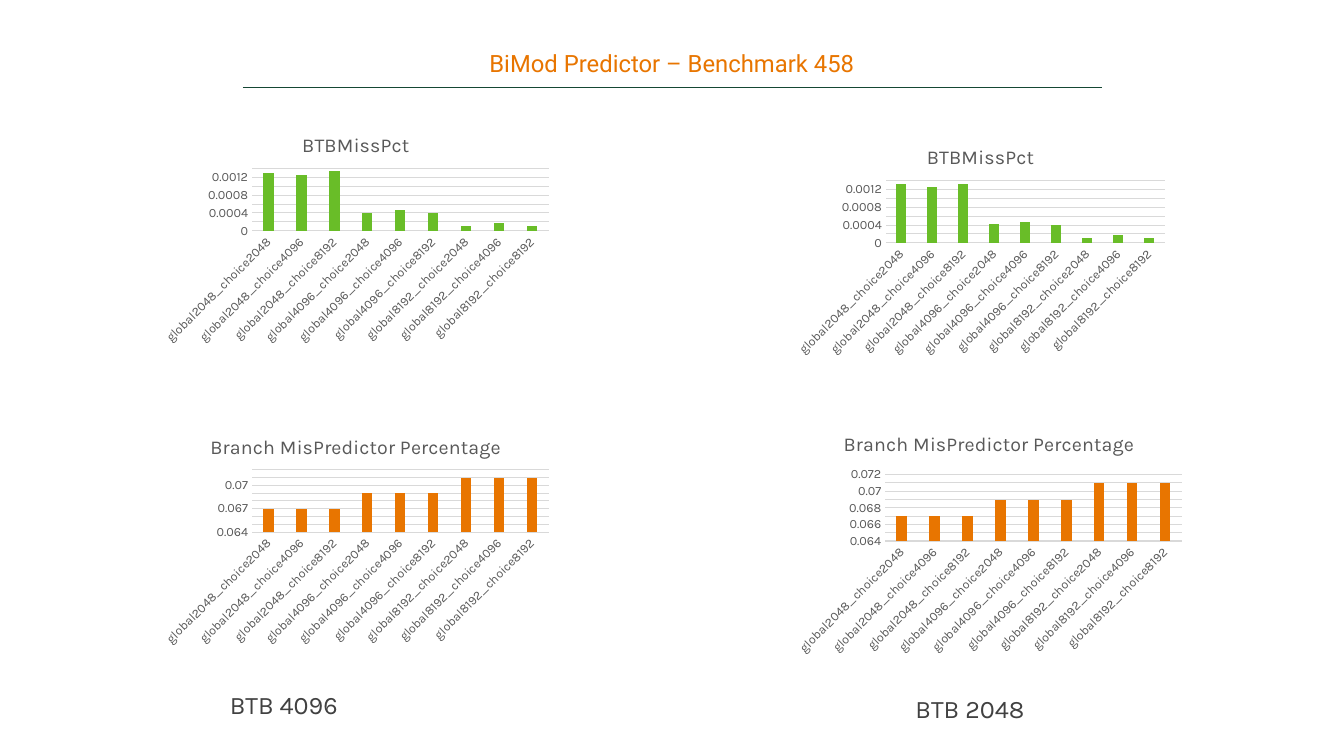
from itertools import product

from lxml.etree import SubElement
from pptx import Presentation
from pptx.chart.data import CategoryChartData
from pptx.dml.color import RGBColor
from pptx.enum.chart import XL_CHART_TYPE, XL_TICK_LABEL_POSITION, XL_TICK_MARK
from pptx.enum.shapes import MSO_CONNECTOR
from pptx.enum.text import MSO_AUTO_SIZE, PP_ALIGN
from pptx.oxml.ns import qn
from pptx.util import Pt

PX = 9144
ORANGE = RGBColor(0xE8, 0x75, 0x00)
LIME = RGBColor(0x69, 0xBD, 0x28)
PINE = RGBColor(0x15, 0x47, 0x34)
BLACK = RGBColor(0x00, 0x00, 0x00)
CHARCOAL = RGBColor(0x41, 0x41, 0x41)
GRAY = RGBColor(0x59, 0x59, 0x59)
PALE = RGBColor(0xD9, 0xD9, 0xD9)

SIZES = (2048, 4096, 8192)
CATEGORIES = [f"global{first}_choice{second}" for first, second in product(SIZES, SIZES)]
MISS_4096 = (0.0013, 0.00126, 0.00133, 0.00039, 0.00046, 0.00039, 0.00011, 0.00017, 0.00011)
MISS_2048 = (0.00133, 0.00126, 0.00133, 0.00042, 0.00046, 0.00039, 0.00011, 0.00017, 0.00011)
MISPREDICTED = [value for value in (0.067, 0.069, 0.071) for _ in SIZES]


def to_emu(box):
    """Turn a box in px into EMU lengths."""
    return [length * PX for length in box]


def set_font(font, size, color, name="Karla"):
    """Set the size, colour and typeface of a font."""
    font.size, font.name, font.bold = Pt(size), name, False
    font.color.rgb = color


def add_text(page, box, text, *, size, color, name="Karla", align=PP_ALIGN.LEFT,
             spacing=1.2, fit=MSO_AUTO_SIZE.SHAPE_TO_FIT_TEXT):
    """Place one line of text in a box without margins."""
    frame = page.shapes.add_textbox(*to_emu(box)).text_frame
    frame.margin_left = frame.margin_top = frame.margin_right = frame.margin_bottom = 0
    frame.word_wrap = True
    frame.auto_size = fit
    para = frame.paragraphs[0]
    para.alignment, para.line_spacing = align, spacing
    span = para.add_run()
    span.text = text
    set_font(span.font, size, color, name)


def add_heading(page, box, text):
    """Place the slide heading and the rule that crosses it."""
    left, top, width, height = box
    start, end, level = to_emu((left + 141, left + width - 140, top + 34))
    rule = page.shapes.add_connector(MSO_CONNECTOR.STRAIGHT, start, level, end, level)
    rule.line.color.rgb, rule.line.width = PINE, Pt(0.75)
    SubElement(rule._element.spPr, qn("a:effectLst"))
    add_text(page, box, text, size=17, color=ORANGE, name="Roboto",
             align=PP_ALIGN.CENTER, spacing=0.85, fit=MSO_AUTO_SIZE.NONE)


def add_column_chart(page, box, title, series_name, values, color, scale):
    """Place a column chart whose scale is its minimum, maximum and step."""
    data = CategoryChartData()
    data.categories = CATEGORIES
    data.add_series(series_name, values)
    chart = page.shapes.add_chart(XL_CHART_TYPE.COLUMN_CLUSTERED, *to_emu(box), data).chart
    chart.has_legend = False
    set_font(chart.font, 10, BLACK)

    chart.has_title = True
    chart.chart_title.include_in_layout = False
    span = chart.chart_title.text_frame.paragraphs[0].add_run()
    span.text = title
    set_font(span.font, 14, GRAY)

    plot = chart.plots[0]
    plot.gap_width, plot.overlap, plot.vary_by_categories = 219, -27, False
    fill = plot.series[0].format.fill
    fill.solid()
    fill.fore_color.rgb = color

    for axis in (chart.category_axis, chart.value_axis):
        axis.major_tick_mark = axis.minor_tick_mark = XL_TICK_MARK.NONE
        axis.tick_label_position = XL_TICK_LABEL_POSITION.NEXT_TO_AXIS
        set_font(axis.tick_labels.font, 9, GRAY)
    value_axis = chart.value_axis
    value_axis.minimum_scale, value_axis.maximum_scale, value_axis.major_unit = scale
    value_axis.tick_labels.number_format = "General"
    value_axis.tick_labels.number_format_is_linked = False
    value_axis.format.line.fill.background()
    for line in (chart.category_axis.format.line, value_axis.major_gridlines.format.line):
        line.color.rgb, line.width = PALE, Pt(0.75)


def add_buffer_column(page, miss_box, branch_box, label_box, label, misses):
    """Place the two charts and the label of one buffer size."""
    add_column_chart(page, miss_box, "BTBMissPct", "BTBMissPct", misses, LIME,
                     (0, 0.0014, 0.0002))
    add_column_chart(page, branch_box, "Branch MisPredictor Percentage", "Series 1",
                     MISPREDICTED, ORANGE, (0.064, 0.072, 0.001))
    add_text(page, label_box, label, size=18, color=CHARCOAL)


def main():
    """Build the deck and save it."""
    deck = Presentation()
    deck.slide_width, deck.slide_height = to_emu((1333, 750))
    page = deck.slides.add_slide(deck.slide_layouts[6])
    add_heading(page, (100, 53, 1133, 49), "BiMod Predictor – Benchmark 458")
    add_buffer_column(page, (154, 118, 398, 229), (154, 417, 398, 229),
                      (228, 678, 146, 33), "BTB 4096", MISS_4096)
    add_buffer_column(page, (782, 130, 381, 229), (782, 414, 398, 241),
                      (908, 682, 146, 33), "BTB 2048", MISS_2048)
    deck.save("out.pptx")


if __name__ == "__main__":
    main()
